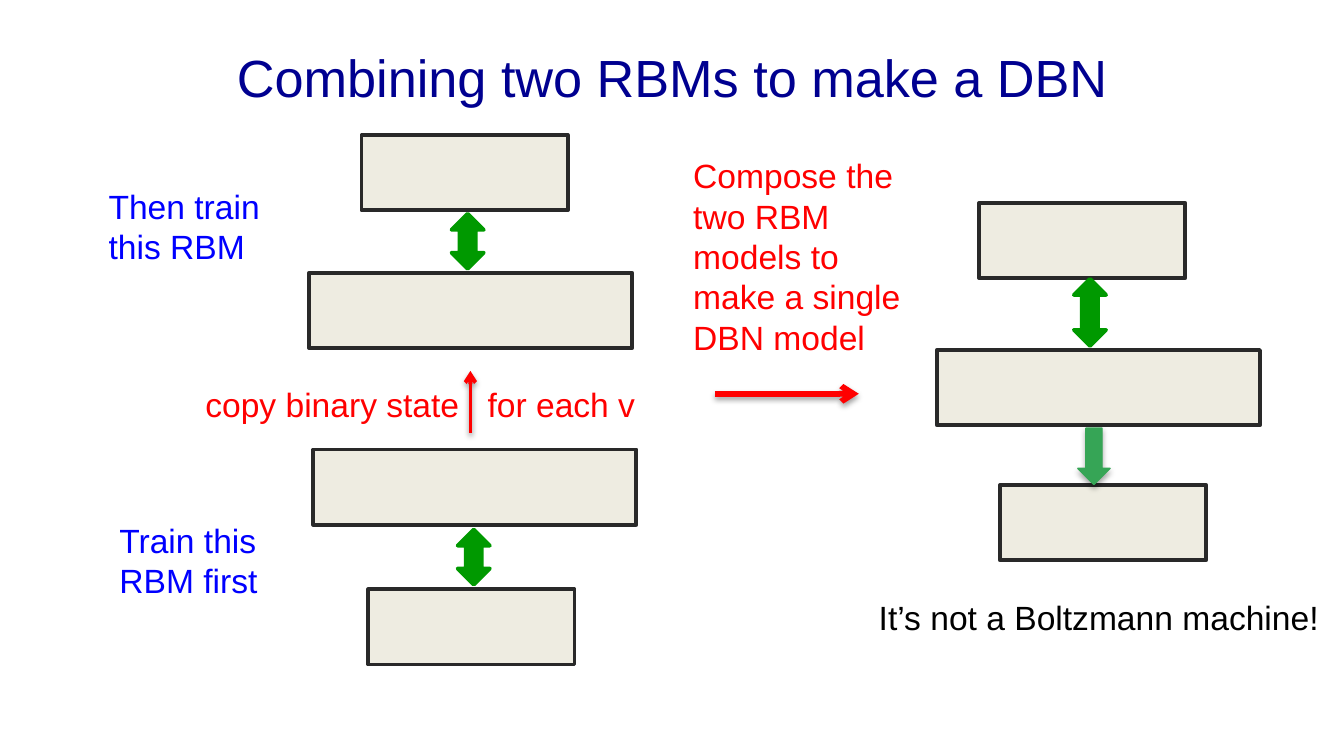
import pptx
import pptx.util
import pptx.dml.color
import pptx.enum.shapes
import pptx.enum.text
import pptx.oxml
import pptx.oxml.ns
import lxml.etree

hues = {"title": "000090", "note": "FF0000", "step": "0000FF", "end": "000000",
        "box": "EEECE1", "edge": "292929", "both": "009900", "down": "36A556"}

deck = pptx.Presentation()
deck.slide_width = pptx.util.Inches(10)
deck.slide_height = deck.slide_width * 9 // 16
col = deck.slide_width / 100
row = deck.slide_height / 56.25
slide = deck.slides.add_slide(deck.slide_layouts[6])
kinds = pptx.enum.shapes.MSO_SHAPE
align = pptx.enum.text.PP_ALIGN
space = pptx.oxml.ns.nsdecls("a")


def write(text, left, top, width, height, hue, size=18, side=align.LEFT, stop=None):
    box = slide.shapes.add_textbox(int(left * col), int(top * row),
                                   int(width * col), int(height * row))
    frame = box.text_frame
    frame.word_wrap = True
    if size == 18:
        frame.auto_size = pptx.enum.text.MSO_AUTO_SIZE.SHAPE_TO_FIT_TEXT
    else:
        frame.vertical_anchor = pptx.enum.text.MSO_ANCHOR.MIDDLE
    para = frame.paragraphs[0]
    para.text = text
    para.alignment = side
    if stop:
        para._p.get_or_add_pPr().append(pptx.oxml.parse_xml(
            f'<a:tabLst {space}><a:tab pos="{int(stop * col)}" algn="l"/></a:tabLst>'))
    font = para.runs[0].font
    font.name = "Arial"
    font.size = pptx.util.Pt(size)
    font.color.rgb = pptx.dml.color.RGBColor.from_string(hues[hue])


def shade(item, drop, alpha):
    part = item._element.spPr
    for old in part.findall(pptx.oxml.ns.qn("a:effectLst")):
        part.remove(old)
    part.append(pptx.oxml.parse_xml(
        f'<a:effectLst {space}><a:outerShdw blurRad="{pptx.util.Pt(3.1)}" '
        f'dist="{pptx.util.Pt(drop)}" dir="5400000" rotWithShape="0">'
        f'<a:srgbClr val="000000"><a:alpha val="{alpha}000"/></a:srgbClr>'
        '</a:outerShdw></a:effectLst>'))


write("Combining two RBMs to make a DBN", 5, 1, 90, 9.4, "title", 28, align.CENTER)

small, large = 15.35, 24.05
parts = [(kinds.RECTANGLE, left, top, width, 5.6, "box", "edge", 2)
         for left, top, width in [
             (27.4, 43.85, small), (26.9, 10.05, small), (23, 20.3, large),
             (23.3, 33.45, large), (74.4, 36.1, small), (72.85, 15.1, small),
             (69.7, 26.05, large)]]
parts += [(kinds.UP_DOWN_ARROW, left, top, 2.4, height, "both", "both", 2)
          for left, top, height in [
              (33.6, 15.9, 4.1), (34.05, 39.4, 4.1), (79.9, 20.75, 5)]]
parts.append((kinds.DOWN_ARROW, 80.2, 31.85, 2.4, 4.2, "down", "down", 0.75))

for kind, left, top, width, height, fill, edge, thick in parts:
    item = slide.shapes.add_shape(kind, int(left * col), int(top * row),
                                  int(width * col), int(height * row))
    item.shadow.inherit = False
    item.fill.solid()
    item.fill.fore_color.rgb = pptx.dml.color.RGBColor.from_string(hues[fill])
    item.line.color.rgb = pptx.dml.color.RGBColor.from_string(hues[edge])
    item.line.width = pptx.util.Pt(thick)
    if kind == kinds.DOWN_ARROW:
        shade(item, 1.8, 35)

for left, top, right, base, thick in [(35, 32.2, 35, 27.6, 2),
                                      (53.2, 29.3, 63.9, 29.3, 3)]:
    link = slide.shapes.add_connector(
        pptx.enum.shapes.MSO_CONNECTOR.STRAIGHT,
        int(left * col), int(top * row), int(right * col), int(base * row))
    link.line.color.rgb = pptx.dml.color.RGBColor.from_string(hues["note"])
    link.line.width = pptx.util.Pt(thick)
    lxml.etree.SubElement(link.line._get_or_add_ln(),
                          pptx.oxml.ns.qn("a:tailEnd"), type="arrow")
    shade(link, 1.6, 38)

write("copy binary state\tfor each v", 14.3, 28.05, 34.7, 4, "note", stop=21)
write("Compose the two RBM models to make a single DBN model",
      50.6, 11.05, 17.6, 16.2, "note")
write("Train this RBM first", 7.9, 38.2, 16.7, 7.1, "step")
write("Then train this RBM", 7.1, 13.35, 16.7, 7.1, "step")
write("It’s not a Boltzmann machine!", 64.4, 43.95, 35.6, 4, "end")

deck.save("out.pptx")
